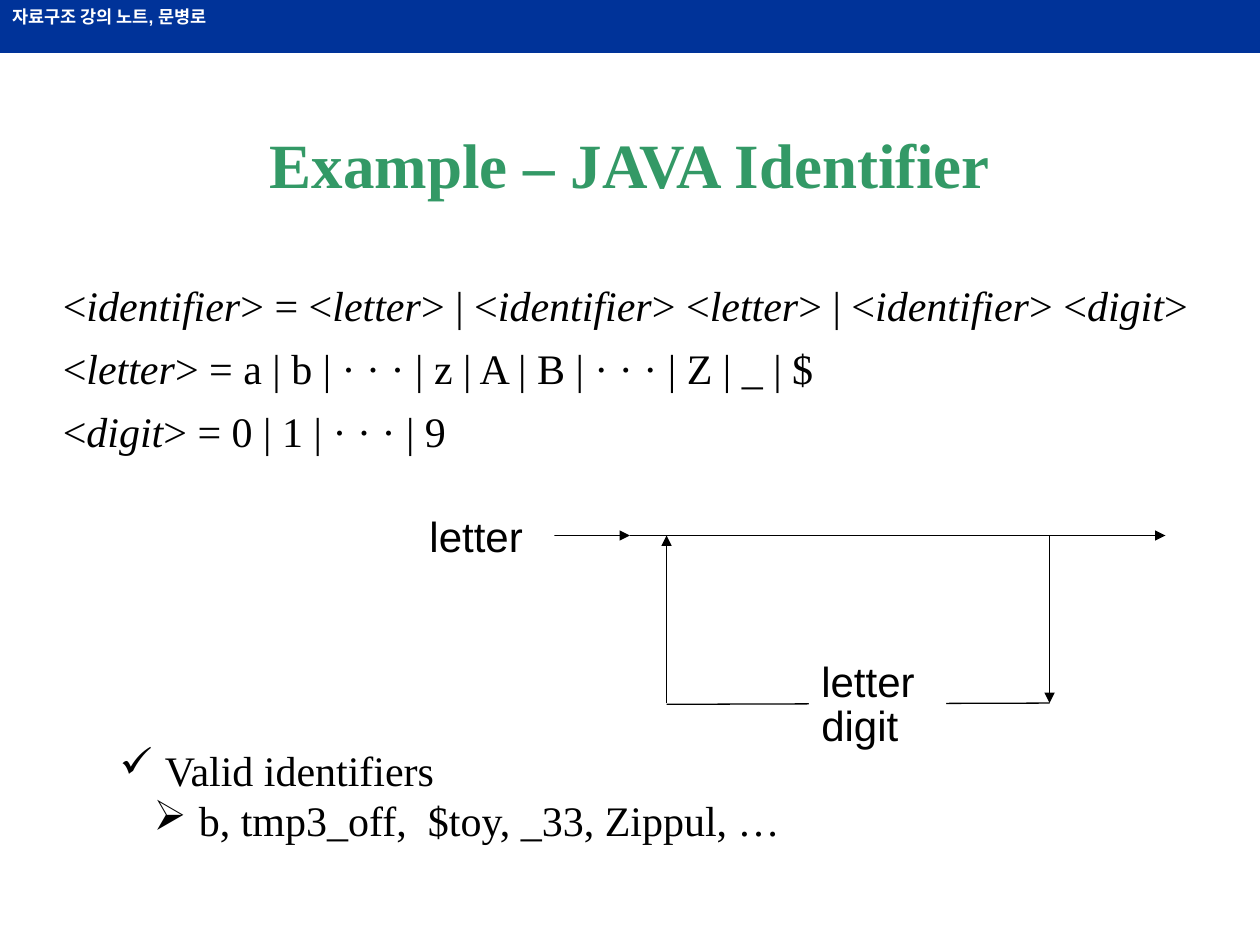
import pptx
import pptx.util
import pptx.dml.color
import pptx.enum.shapes
import pptx.enum.text
import pptx.oxml
import pptx.oxml.ns

Inches = pptx.util.Inches
Pt = pptx.util.Pt
ANCHOR = pptx.enum.text.MSO_ANCHOR
ALIGN = pptx.enum.text.PP_ALIGN

WIDTH, HEIGHT = 10, 7.5
SERIF, SANS = "Times New Roman", "Arial"
BLACK, WHITE, BLUE, GREEN = "000000", "FFFFFF", "003399", "339966"

HEADER = "자료구조 강의 노트, 문병로"
TITLE = "Example – JAVA Identifier"
# Words between asterisks are italic.
GRAMMAR = [
    "<*identifier*> = <*letter*> | <*identifier*> <*letter*> | <*identifier*> <*digit*>",
    "<*letter*> = a | b | · · · | z | A | B | · · · | Z | _ | $",
    "<*digit*> = 0 | 1 | · · · | 9",
]
# bullet, left edge of the text, wording
EXAMPLES = [
    ("✓", 0.36, "Valid identifiers"),
    ("➢", 0.63, "b, tmp3_off,  $toy, _33, Zippul, …"),
]
BULLET_HANG = 0.36

# Syntax diagram: main track on top, loop below it
TRACK, LOOP = 4.25, 5.58
START, JOIN, BACK, FORWARD, END = 4, 5, 5.29, 8.33, 9.25
# from, to, has arrowhead
TRACKS = [
    ((START, TRACK), (JOIN, TRACK), True),
    ((JOIN, TRACK), (END, TRACK), True),
    ((FORWARD, TRACK), (FORWARD, LOOP), True),
    ((FORWARD, LOOP), (BACK, LOOP + 0.01), False),
    ((BACK, LOOP), (BACK, TRACK), True),
]
# wording, place, line spacing
LABELS = [
    ("letter", (6.42, 5.15, 1.09, 0.5), 1.0),
    ("digit", (6.42, 5.61, 0.89, 0.38), 0.7),
    ("letter", (3.31, 4, 1.09, 0.5), 1.0),
]


def color(value):
    return pptx.dml.color.RGBColor.from_string(value)


def add_span(para, text, font, size, value=BLACK, bold=False, italic=False):
    span = para.add_run()
    span.text = text
    span.font.name = font
    span.font.size = Pt(size)
    span.font.bold = bold
    span.font.italic = italic
    span.font.color.rgb = color(value)


def prepare(box, anchor=ANCHOR.TOP):
    """Make the box wrap and return its text frame."""
    frame = box.text_frame
    frame.word_wrap = True
    frame.vertical_anchor = anchor
    return frame


def add_text_box(page, place, anchor=ANCHOR.TOP):
    return prepare(page.shapes.add_textbox(*map(Inches, place)), anchor)


def add_panel(page, place, fill):
    """Add a filled rectangle without outline and return its text frame."""
    panel = page.shapes.add_shape(
        pptx.enum.shapes.MSO_SHAPE.RECTANGLE, *map(Inches, place))
    panel.shadow.inherit = False
    panel.fill.solid()
    panel.fill.fore_color.rgb = color(fill)
    panel.line.fill.background()
    frame = prepare(panel)
    frame.paragraphs[0].alignment = ALIGN.LEFT
    return frame


def add_track(page, start, end, arrow):
    track = page.shapes.add_connector(
        pptx.enum.shapes.MSO_CONNECTOR.STRAIGHT, *map(Inches, start + end))
    track.line.color.rgb = color(BLACK)
    track.line.width = Pt(0.75)
    if arrow:
        head = pptx.oxml.ns.qn("a:tailEnd")
        track.line._get_or_add_ln().append(
            track._element.makeelement(head, {"type": "triangle"}))
    effects = pptx.oxml.ns.qn("a:effectLst")
    track._element.spPr.append(track._element.makeelement(effects, {}))


def next_para(frame, index):
    return frame.add_paragraph() if index else frame.paragraphs[0]


def set_hang(para, left, hang):
    properties = para._p.get_or_add_pPr()
    properties.set("marL", str(Inches(left)))
    properties.set("indent", str(-Inches(hang)))
    return properties


def add_grammar(page):
    frame = add_text_box(page, (0.4, 2.17, 9.46, 1.58))
    for index, rule in enumerate(GRAMMAR):
        para = next_para(frame, index)
        set_hang(para, 0.38, 0.38)
        if index:
            para.space_before = Pt(7.2)
        for part, text in enumerate(rule.split("*")):
            add_span(para, text, SERIF, 24, italic=part % 2 == 1)


def add_examples(page):
    frame = add_text_box(page, (0.85, 5.86, 5.69, 0.9))
    for index, (bullet, left, text) in enumerate(EXAMPLES):
        para = next_para(frame, index)
        para.level = index
        properties = set_hang(para, left, BULLET_HANG)
        mark = pptx.oxml.ns.qn("a:buChar")
        properties.append(properties.makeelement(mark, {"char": bullet}))
        add_span(para, text, SERIF, 24)


def main():
    deck = pptx.Presentation()
    deck.slide_width, deck.slide_height = Inches(WIDTH), Inches(HEIGHT)
    page = deck.slides.add_slide(deck.slide_layouts[6])

    header = add_panel(page, (0, 0, WIDTH, 0.42), BLUE)
    add_span(header.paragraphs[0], HEADER, SANS, 10, WHITE, bold=True)

    add_grammar(page)
    for track in TRACKS:
        add_track(page, *track)
    for text, place, spacing in LABELS:
        para = add_panel(page, place, WHITE).paragraphs[0]
        para.line_spacing = spacing
        add_span(para, text, SANS, 24)
    add_examples(page)

    title = add_text_box(page, (0.75, 0.67, 8.5, 1.25), ANCHOR.MIDDLE)
    title.paragraphs[0].alignment = ALIGN.CENTER
    add_span(title.paragraphs[0], TITLE, SERIF, 36, GREEN, bold=True)

    deck.save("out.pptx")


if __name__ == "__main__":
    main()
